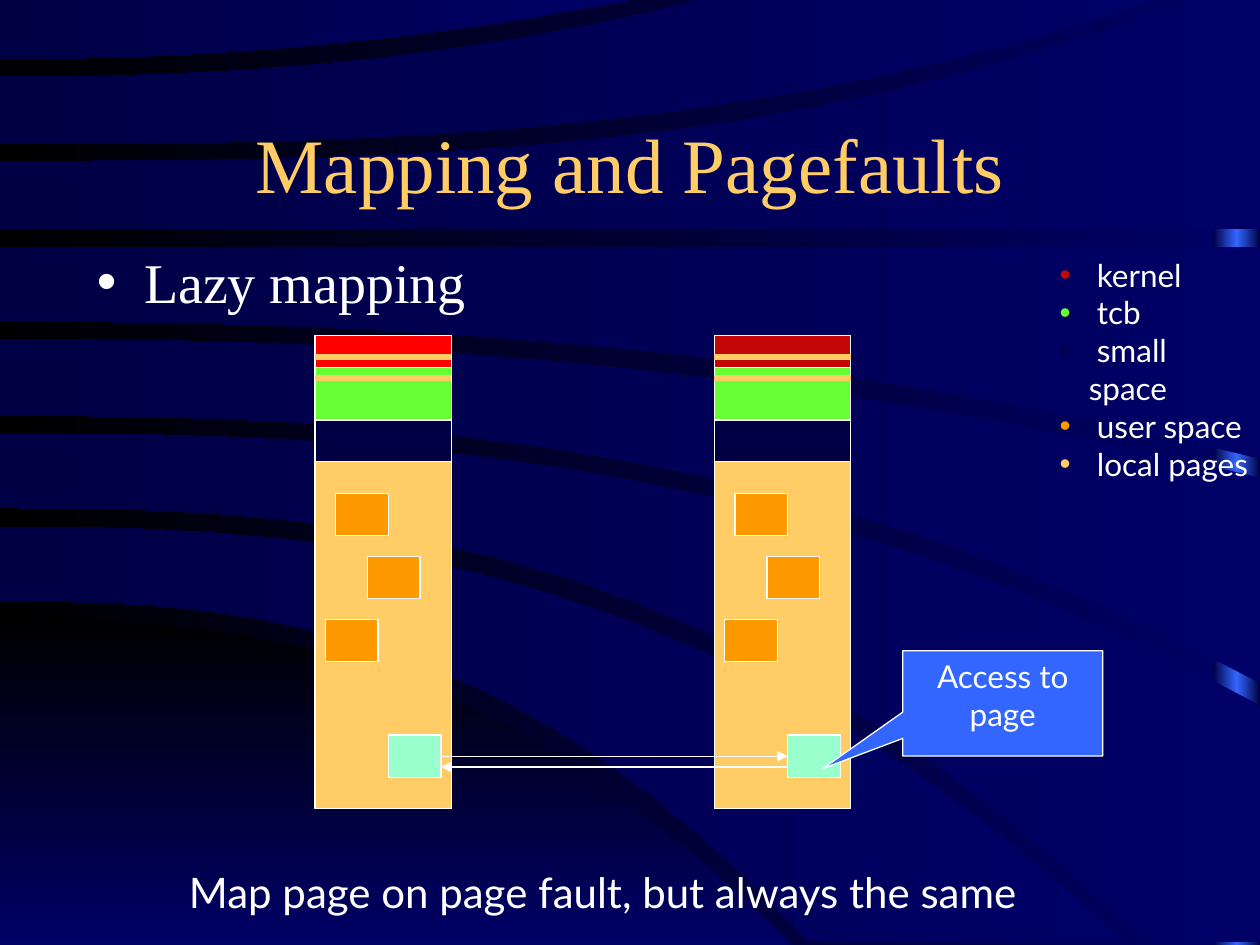
"""Build the slide about lazy mapping and page faults."""
import copy
import dataclasses

import pptx
import pptx.dml.color
import pptx.enum.shapes
import pptx.enum.text
import pptx.oxml
import pptx.oxml.ns
import pptx.util

Cm, Pt = pptx.util.Cm, pptx.util.Pt
RGBColor = pptx.dml.color.RGBColor
MSO_SHAPE = pptx.enum.shapes.MSO_SHAPE
PP_ALIGN = pptx.enum.text.PP_ALIGN
MSO_ANCHOR = pptx.enum.text.MSO_ANCHOR
qn = pptx.oxml.ns.qn

WHITE = RGBColor(0xFF, 0xFF, 0xFF)
BLACK = RGBColor(0x00, 0x00, 0x00)
NAVY = RGBColor(0x00, 0x00, 0x66)
DARK_NAVY = RGBColor(0x00, 0x00, 0x44)
BLUE = RGBColor(0x33, 0x66, 0xFF)
RED = RGBColor(0xFF, 0x00, 0x00)
DARK_RED = RGBColor(0xC4, 0x06, 0x06)
GREEN = RGBColor(0x66, 0xFF, 0x33)
ORANGE = RGBColor(0xFF, 0x99, 0x00)
SAND = RGBColor(0xFF, 0xCC, 0x66)
MINT = RGBColor(0x99, 0xFF, 0xCC)

SERIF, SANS = "Times New Roman", "Lato"
SLIDE_WIDTH, SLIDE_HEIGHT = 25.4, 19.05
STRIP_WIDTH = 0.94
CURVE_STEPS = 16

TOWER_TOP, TOWER_WIDTH = 6.77, 2.75
KERNEL_HEIGHT, TCB_HEIGHT, SMALL_SPACE_HEIGHT, USER_SPACE_HEIGHT = 0.64, 1.06, 0.84, 6.99
LOCAL_STRIPES = (0.43, 0.85)
PAGE_WIDTH, PAGE_HEIGHT = 1.06, 0.85
USER_PAGES_TOP, USER_PAGE_PITCH = 9.95, 1.27
USER_PAGE_OFFSETS = (0.42, 1.06, 0.21)
MAPPED_PAGE_OFFSET, MAPPED_PAGE_TOP = 1.48, 14.82
SOURCE_LEFT, TARGET_LEFT = 6.35, 14.4
REPLY_Y = 15.46


@dataclasses.dataclass
class Edge:
    """A curve from the left slide edge that bends as a power of x."""

    start_y: float
    end_x: float
    end_y: float
    power: float = 1

    def points(self):
        """Return points along the curve from left to right."""
        steps = [step / CURVE_STEPS for step in range(CURVE_STEPS + 1)]
        rise = self.end_y - self.start_y
        return [(self.end_x * t, self.start_y + rise * t ** self.power) for t in steps]


def flat(y, end_x=SLIDE_WIDTH):
    """Return a horizontal edge."""
    return Edge(y, end_x, y)


FLOOR = (Edge(12.47, 15.95, SLIDE_HEIGHT, 2.5), flat(SLIDE_HEIGHT, 15.95))
BANDS = (
    (Edge(10.62, 22.68, 19, 2.55), Edge(12.12, 16.31, 19, 2.6)),
    (Edge(8.74, SLIDE_WIDTH, 14.22, 2.55), Edge(10.24, 23.09, 19, 2.6)),
    (Edge(6.83, SLIDE_WIDTH, 9.63, 2.2), Edge(8.38, SLIDE_WIDTH, 13.77, 2.55)),
    (flat(4.98), Edge(6.48, SLIDE_WIDTH, 9.25, 2.3)),
    (Edge(3.25, 23.95, 0, 2.9), flat(4.62)),
    (Edge(1.55, 14.12, 0, 2.3), Edge(2.9, 23.29, 0, 2.75)),
    (flat(0, 12.73), Edge(1.19, 12.73, 0, 2.1)),
)


def paint_gradient(fill, start, end, angle):
    """Fill with a linear gradient between two colours."""
    fill.gradient()
    fill.gradient_angle = angle
    for position, (stop, color) in enumerate(zip(fill.gradient_stops, (start, end))):
        stop.color.rgb = color
        stop.position = position


def add_band(slide, upper, lower, start, end, angle):
    """Add a borderless gradient area between two edges, squared off at the right."""
    shorter, longer = sorted((upper, lower), key=lambda edge: edge.end_x)
    corner = (longer.end_x, shorter.end_y)
    outline = upper.points() + [corner] + lower.points()[::-1]
    first, *others = [(Cm(x), Cm(y)) for x, y in outline]
    builder = slide.shapes.build_freeform(*first)
    builder.add_line_segments(others, close=True)
    band = builder.convert_to_shape()
    band.shadow.inherit = False
    band.line.fill.background()
    paint_gradient(band.fill, start, end, angle)


def add_box(slide, left, top, width, height, color, kind=MSO_SHAPE.RECTANGLE):
    """Add a filled shape with a thin white border."""
    box = slide.shapes.add_shape(kind, Cm(left), Cm(top), Cm(width), Cm(height))
    box.shadow.inherit = False
    box.fill.solid()
    box.fill.fore_color.rgb = color
    box.line.color.rgb = WHITE
    box.line.width = Pt(0.75)
    return box


def append_xml(parent, tag, attributes="", content=""):
    """Append a drawing element to the parent."""
    namespace = pptx.oxml.ns.nsdecls("a")
    parent.append(pptx.oxml.parse_xml(f"<a:{tag} {namespace} {attributes}>{content}</a:{tag}>"))


def add_line(slide, start, end, color, width):
    """Add a straight line without a shadow."""
    line = slide.shapes.add_connector(
        pptx.enum.shapes.MSO_CONNECTOR.STRAIGHT, *(Cm(v) for v in start + end))
    line.line.color.rgb = color
    line.line.width = Pt(width)
    append_xml(line._element.spPr, "effectLst")
    return line


def add_arrow(slide, start, end):
    """Add a thin white arrow."""
    arrow = add_line(slide, start, end, WHITE, 0.75)
    append_xml(arrow._element.spPr.find(qn("a:ln")), "tailEnd", 'type="triangle"')
    return arrow


def style_paragraph(paragraph, font_name, size, color, align=PP_ALIGN.LEFT):
    """Set alignment and the font of every run."""
    paragraph.alignment = align
    for run in paragraph.runs:
        run.font.name = font_name
        run.font.size = Pt(size)
        run.font.color.rgb = color


def add_bullet(paragraph, color, indent):
    """Give the paragraph a coloured bullet with a hanging indent."""
    properties = paragraph._p.get_or_add_pPr()
    properties.set("marL", str(Cm(indent)))
    properties.set("indent", str(-Cm(indent)))
    append_xml(properties, "buClr", content=f'<a:srgbClr val="{color}"/>')
    append_xml(properties, "buFont", 'typeface="Arial"')
    append_xml(properties, "buChar", 'char="•"')


def add_text_box(slide, left, top, width, height, text):
    """Add a wrapping text box and return its text frame."""
    box = slide.shapes.add_textbox(Cm(left), Cm(top), Cm(width), Cm(height))
    box.text_frame.word_wrap = True
    box.text_frame.text = text
    return box.text_frame


def fill_placeholder(placeholder, left, top, width, height, text):
    """Place a placeholder, set its text and return the paragraph."""
    placeholder.left, placeholder.top = Cm(left), Cm(top)
    placeholder.width, placeholder.height = Cm(width), Cm(height)
    placeholder.text_frame.text = text
    return placeholder.text_frame.paragraphs[0]


def add_backdrop(slide):
    """Add the gradient background, the side strip and the curved bands."""
    paint_gradient(slide.background.fill, NAVY, BLACK, 180)
    strip = add_box(slide, SLIDE_WIDTH - STRIP_WIDTH, 0, STRIP_WIDTH, SLIDE_HEIGHT, BLUE)
    strip.line.fill.background()
    paint_gradient(strip.fill, DARK_NAVY, DARK_NAVY, 180)
    first_stop = strip._element.spPr.find(".//" + qn("a:gs"))
    first_stop.addnext(copy.deepcopy(first_stop))
    glow = strip.fill.gradient_stops[1]
    glow.position = 0.5
    glow.color.rgb = BLUE
    add_band(slide, *FLOOR, BLACK, NAVY, 270)
    for upper, lower in BANDS:
        add_band(slide, upper, lower, NAVY, DARK_NAVY, 180)


def add_tower(slide, left, kernel_color):
    """Draw one address space and return its mapped page."""
    areas = ((KERNEL_HEIGHT, kernel_color), (TCB_HEIGHT, GREEN),
             (SMALL_SPACE_HEIGHT, DARK_NAVY), (USER_SPACE_HEIGHT, SAND))
    top = TOWER_TOP
    for height, color in areas:
        add_box(slide, left, top, TOWER_WIDTH, height, color)
        top += height
    for offset in LOCAL_STRIPES:
        y = TOWER_TOP + offset
        add_line(slide, (left, y), (left + TOWER_WIDTH, y), SAND, 3)
    for row, offset in enumerate(USER_PAGE_OFFSETS):
        page_top = USER_PAGES_TOP + row * USER_PAGE_PITCH
        add_box(slide, left + offset, page_top, PAGE_WIDTH, PAGE_HEIGHT, ORANGE)
    return add_box(slide, left + MAPPED_PAGE_OFFSET, MAPPED_PAGE_TOP,
                   PAGE_WIDTH, PAGE_HEIGHT, MINT)


def add_legend(slide):
    """List the memory areas with bullets in their colours."""
    entries = {"kernel": DARK_RED, "tcb": GREEN, "small space": DARK_NAVY,
               "user space": ORANGE, "local pages": SAND}
    legend = add_text_box(slide, 21.11, 5.03, 4.34, 4.06, "\n".join(f" {e}" for e in entries))
    for paragraph, color in zip(legend.paragraphs, entries.values()):
        style_paragraph(paragraph, SANS, 18, WHITE)
        add_bullet(paragraph, color, 0.59)


def add_mapping_arrows(slide, source_page, target_page):
    """Join the mapped pages in both directions."""
    source_x = SOURCE_LEFT + MAPPED_PAGE_OFFSET + PAGE_WIDTH
    target_x = TARGET_LEFT + MAPPED_PAGE_OFFSET
    middle = MAPPED_PAGE_TOP + PAGE_HEIGHT / 2
    mapping = add_arrow(slide, (source_x, middle), (target_x, middle))
    mapping.begin_connect(source_page, 3)
    mapping.end_connect(target_page, 1)
    add_arrow(slide, (target_x, REPLY_Y), (source_x, REPLY_Y))


def add_callout(slide):
    """Point out the access that causes the page fault."""
    access = add_box(slide, 18.2, 13.12, 4.03, 2.12, BLUE, MSO_SHAPE.RECTANGULAR_CALLOUT)
    access.adjustments[0], access.adjustments[1] = -0.9, 0.62
    access.text_frame.text = "Access to page"
    access.text_frame.vertical_anchor = MSO_ANCHOR.TOP
    style_paragraph(access.text_frame.paragraphs[0], SANS, 18, WHITE, PP_ALIGN.CENTER)


def main():
    """Compose and save the slide."""
    deck = pptx.Presentation()
    deck.slide_width, deck.slide_height = Cm(SLIDE_WIDTH), Cm(SLIDE_HEIGHT)
    slide = deck.slides.add_slide(deck.slide_layouts[1])
    title, body = slide.placeholders
    add_backdrop(slide)
    for placeholder in (title, body):
        slide.shapes._spTree.append(placeholder._element)

    heading = fill_placeholder(title, 1.9, 1.68, 21.6, 3.18, "Mapping and Pagefaults")
    style_paragraph(heading, SERIF, 44, SAND, PP_ALIGN.CENTER)
    topic = fill_placeholder(body, 1.7, 4.86, 21.6, 11.43, "Lazy mapping")
    style_paragraph(topic, SERIF, 32, WHITE)
    topic.space_before = Pt(8)
    add_bullet(topic, WHITE, 0.95)

    target_page = add_tower(slide, TARGET_LEFT, DARK_RED)
    add_legend(slide)
    source_page = add_tower(slide, SOURCE_LEFT, RED)
    caption = add_text_box(slide, 3.56, 17.35, 18.57, 1.27,
                           "Map page on page fault, but always the same")
    style_paragraph(caption.paragraphs[0], SANS, 24, WHITE)
    add_callout(slide)
    add_mapping_arrows(slide, source_page, target_page)
    deck.save("out.pptx")


if __name__ == "__main__":
    main()
